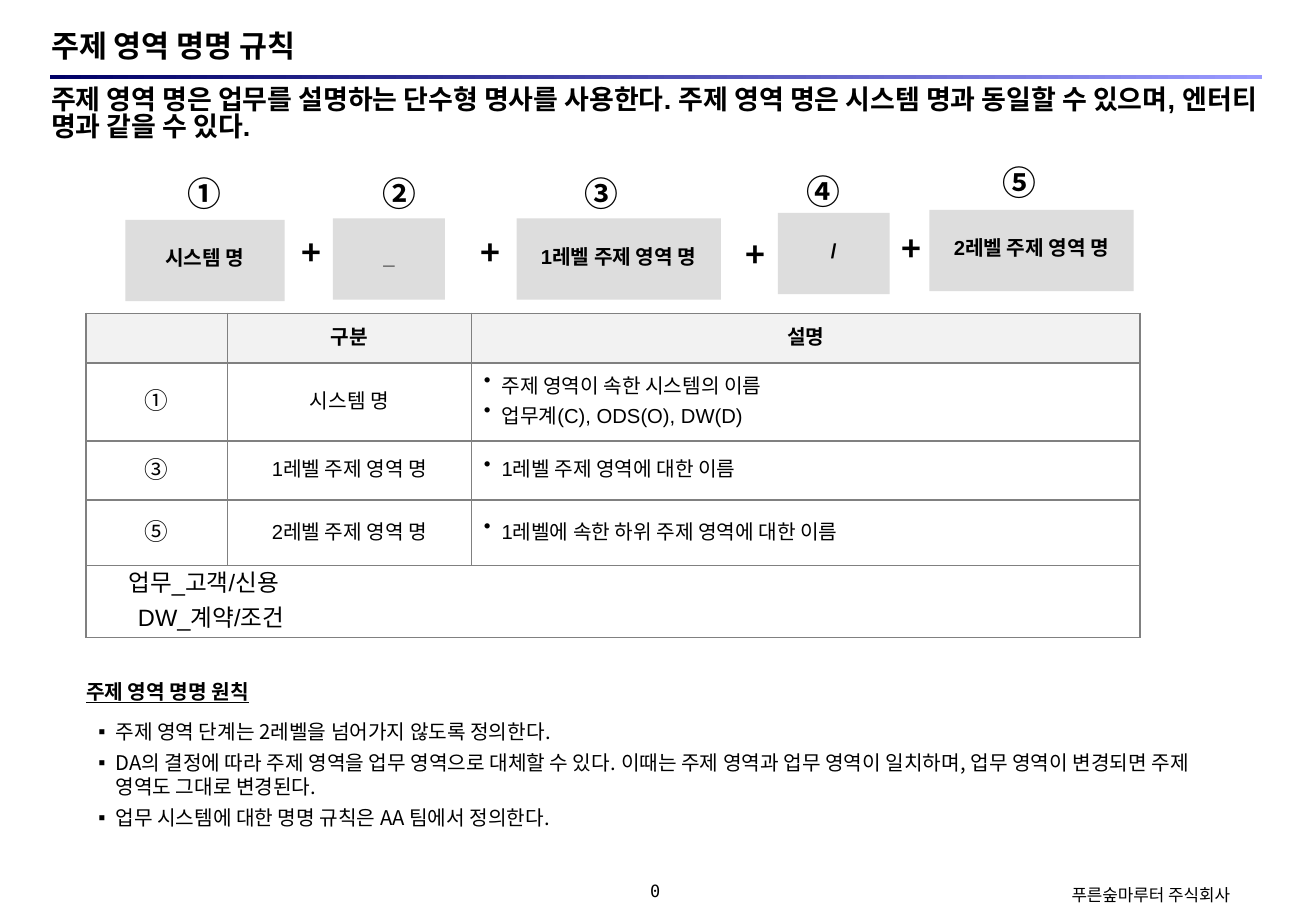
from dataclasses import dataclass

from lxml import etree
from pptx import Presentation
from pptx.dml.color import RGBColor
from pptx.enum.shapes import MSO_SHAPE
from pptx.enum.text import MSO_ANCHOR, MSO_AUTO_SIZE, PP_ALIGN
from pptx.oxml.ns import qn
from pptx.util import Cm, Pt

RECT = MSO_SHAPE.RECTANGLE
TOP, MID = MSO_ANCHOR.TOP, MSO_ANCHOR.MIDDLE
LEFT, MIDDLE = PP_ALIGN.LEFT, PP_ALIGN.CENTER
FIXED = MSO_AUTO_SIZE.NONE


@dataclass(frozen=True)
class Theme:
    sans: str = "Arial"
    asian: str = "Noto Sans CJK KR"
    mono: str = "DejaVu Sans Mono"
    ink: str = "000000"
    paper: str = "FFFFFF"
    head: str = "F2F2F2"
    block: str = "DDDDDD"
    edge: str = "808080"
    dark: str = "000066"
    light: str = "9999FF"
    title: int = 18
    lead: int = 16
    mark: int = 20
    sample: int = 14
    text: int = 12
    foot: int = 10
    tight: float = 0.72
    snug: float = 0.84


THEME = Theme()

# Name parts: mark, text, box left, top, width, mark left, top
PARTS = [
    ("①", "시스템 명", 2.62, 4.6, 3.33, 3.66, 3.71),
    ("②", "_", 6.96, 4.57, 2.34, 7.75, 3.71),
    ("③", "1레벨 주제 영역 명", 10.8, 4.57, 4.27, 11.96, 3.71),
    ("④", "/", 16.26, 4.45, 2.34, 16.61, 3.66),
    ("⑤", "2레벨 주제 영역 명", 19.43, 4.39, 4.27, 20.7, 3.48),
]
PLUSES = [(6.05, 4.95), (9.8, 4.93), (15.34, 4.98), (18.59, 4.85)]

HEADS = ["", "구분", "설명"]
ROWS = [
    ("①", "시스템 명", ["주제 영역이 속한 시스템의 이름", "업무계(C), ODS(O), DW(D)"]),
    ("③", "1레벨 주제 영역 명", ["1레벨 주제 영역에 대한 이름"]),
    ("⑤", "2레벨 주제 영역 명", ["1레벨에 속한 하위 주제 영역에 대한 이름"]),
]
SAMPLES = [("업무_고객/신용", 0.63), ("DW_계약/조건", 0.83)]
WIDTHS = [2.95, 5.11, 13.97]
HEIGHTS = [1.04, 1.63, 1.24, 1.37, 1.37]

RULES = [
    "주제 영역 단계는 2레벨을 넘어가지 않도록 정의한다.",
    "DA의 결정에 따라 주제 영역을 업무 영역으로 대체할 수 있다. 이때는 주제 영역과 "
    "업무 영역이 일치하며, 업무 영역이 변경되면 주제 영역도 그대로 변경된다.",
    "업무 시스템에 대한 명명 규칙은 AA 팀에서 정의한다.",
]


def color(code):
    return RGBColor.from_string(code)


def add_run(para, text, size, face=THEME.sans, bold=False, line=False):
    run = para.add_run()
    run.text = text
    font = run.font
    font.name, font.size, font.bold = face, Pt(size), bold
    font.underline = line
    font.color.rgb = color(THEME.ink)
    etree.SubElement(font._element, qn("a:ea"), typeface=THEME.asian)


def set_para(para, align=LEFT, space=1.0, before=0):
    para.alignment = align
    para.line_spacing = space
    para.space_before = Pt(before)


def set_indent(para, left, hang=0):
    props = para._p.get_or_add_pPr()
    props.set("marL", str(Cm(left)))
    props.set("indent", str(-Cm(hang)))


def set_frame(frame, anchor=TOP, inset=None, wrap=True):
    frame.word_wrap = wrap
    frame.auto_size = FIXED
    frame.vertical_anchor = anchor
    if inset is not None:
        frame.margin_left = frame.margin_right = Cm(inset)
        frame.margin_top = frame.margin_bottom = Cm(inset)


def place(shape, left, top, width, height):
    shape.left, shape.top = Cm(left), Cm(top)
    shape.width, shape.height = Cm(width), Cm(height)


def add_list(frame, items, char, hang, space, before, face):
    for i, item in enumerate(items):
        para = frame.paragraphs[0] if i == 0 else frame.add_paragraph()
        set_indent(para, hang, hang)
        etree.SubElement(para._p.get_or_add_pPr(), qn("a:buChar"), char=char)
        set_para(para, LEFT, space, before if i else 0)
        add_run(para, item, THEME.text, face)


def add_label(slide, box, text, size, face=THEME.sans, bold=True, line=False,
              align=LEFT, space=1.0, anchor=TOP, inset=None, wrap=True):
    shape = slide.shapes.add_textbox(*map(Cm, box))
    set_frame(shape.text_frame, anchor, inset, wrap)
    para = shape.text_frame.paragraphs[0]
    set_para(para, align, space)
    add_run(para, text, size, face, bold, line)


def add_mark(slide, left, top, width, text):
    add_label(slide, (left, top, width, 0.99), text, THEME.mark, THEME.asian,
              align=MIDDLE, space=THEME.tight, wrap=False)


def add_rect(slide, box):
    shape = slide.shapes.add_shape(RECT, *map(Cm, box))
    shape.shadow.inherit = False
    shape.line.fill.background()
    return shape


def add_block(slide, left, top, width, text):
    shape = add_rect(slide, (left, top, width, 1.7))
    shape.fill.solid()
    shape.fill.fore_color.rgb = color(THEME.block)
    set_frame(shape.text_frame, MID, 0.2, False)
    para = shape.text_frame.paragraphs[0]
    set_para(para, MIDDLE, THEME.tight)
    add_run(para, text, THEME.text, bold=True)


def add_band(slide):
    fill = add_rect(slide, (1.04, 1.57, 25.35, 0.08)).fill
    fill.gradient()
    fill.gradient_angle = 0
    for stop, code in zip(fill.gradient_stops, (THEME.dark, THEME.light)):
        stop.color.rgb = color(code)


def style_cell(cell, code):
    cell.vertical_anchor = MID
    cell.fill.solid()
    cell.fill.fore_color.rgb = color(code)
    props = cell._tc.get_or_add_tcPr()
    for i, side in enumerate(("lnL", "lnR", "lnT", "lnB")):
        edge = etree.Element(qn("a:" + side), w=str(Pt(1)))
        fill = etree.SubElement(edge, qn("a:solidFill"))
        etree.SubElement(fill, qn("a:srgbClr"), val=THEME.edge)
        props.insert(i, edge)


def fill_cell(cell, text, size=THEME.text, face=THEME.sans, bold=False):
    para = cell.text_frame.paragraphs[0]
    set_para(para, MIDDLE, THEME.tight)
    add_run(para, text, size, face, bold)


def add_grid(slide):
    box = (1.8, 6.55, sum(WIDTHS), sum(HEIGHTS))
    table = slide.shapes.add_table(len(HEIGHTS), len(WIDTHS), *map(Cm, box)).table
    table.first_row = table.horz_banding = False
    for col, width in zip(table.columns, WIDTHS):
        col.width = Cm(width)
    for i, (row, height) in enumerate(zip(table.rows, HEIGHTS)):
        row.height = Cm(height)
        for cell in row.cells:
            style_cell(cell, THEME.paper if i else THEME.head)
    for i, head in enumerate(HEADS):
        if head:
            fill_cell(table.cell(0, i), head, bold=True)
    for i, (mark, name, notes) in enumerate(ROWS, 1):
        fill_cell(table.cell(i, 0), mark, THEME.sample, THEME.asian)
        fill_cell(table.cell(i, 1), name)
        add_list(table.cell(i, 2).text_frame, notes, "•", 0.37,
                 THEME.tight, 5, THEME.sans)
    # Merged sample row
    last = len(HEIGHTS) - 1
    cell = table.cell(last, 0)
    cell.merge(table.cell(last, len(WIDTHS) - 1))
    for i, (text, left) in enumerate(SAMPLES):
        para = cell.text_frame.add_paragraph() if i else cell.text_frame.paragraphs[0]
        set_indent(para, left)
        set_para(para, LEFT, THEME.tight, 6 if i else 0)
        add_run(para, text, THEME.sample)


def main():
    deck = Presentation()
    deck.slide_width, deck.slide_height = Cm(27.51), Cm(19.05)
    slide = deck.slides.add_slide(deck.slide_layouts[1])

    # Title, band and lead
    title, body = slide.shapes.title, slide.placeholders[1]
    place(title, 1.07, 0.56, 10.69, 0.76)
    set_frame(title.text_frame, MID, 0)
    para = title.text_frame.paragraphs[0]
    set_para(para)
    add_run(para, "주제 영역 명명 규칙", THEME.title, bold=True)
    add_band(slide)
    add_label(slide, (1.07, 1.83, 25.32, 1.37),
              "주제 영역 명은 업무를 설명하는 단수형 명사를 사용한다. 주제 영역 명은 "
              "시스템 명과 동일할 수 있으며, 엔터티 명과 같을 수 있다.",
              THEME.lead, space=THEME.snug, inset=0)

    # Name pattern
    for mark, text, left, top, width, x, y in PARTS:
        add_block(slide, left, top, width, text)
        add_mark(slide, x, y, 1.22, mark)
    for x, y in PLUSES:
        add_mark(slide, x, y, 0.91, "+")

    # Table
    add_grid(slide)

    # Principles
    add_label(slide, (1.55, 14.07, 21.21, 1.12), "주제 영역 명명 원칙",
              THEME.text, line=True)
    place(body, 1.8, 14.91, 23.93, 3.28)
    set_frame(body.text_frame)
    add_list(body.text_frame, RULES, "▪", 0.36, 1.0, 4, THEME.asian)

    # Footer
    for box, text, face in (
        ((12.85, 18.42, 1.7, 0.43), "0", THEME.mono),
        ((22.1, 18.49, 3.91, 0.43), "푸른숲마루터 주식회사", THEME.asian),
    ):
        add_label(slide, box, text, THEME.foot, face, bold=False,
                  align=MIDDLE, anchor=MID, inset=0)

    deck.save("out.pptx")


if __name__ == "__main__":
    main()
